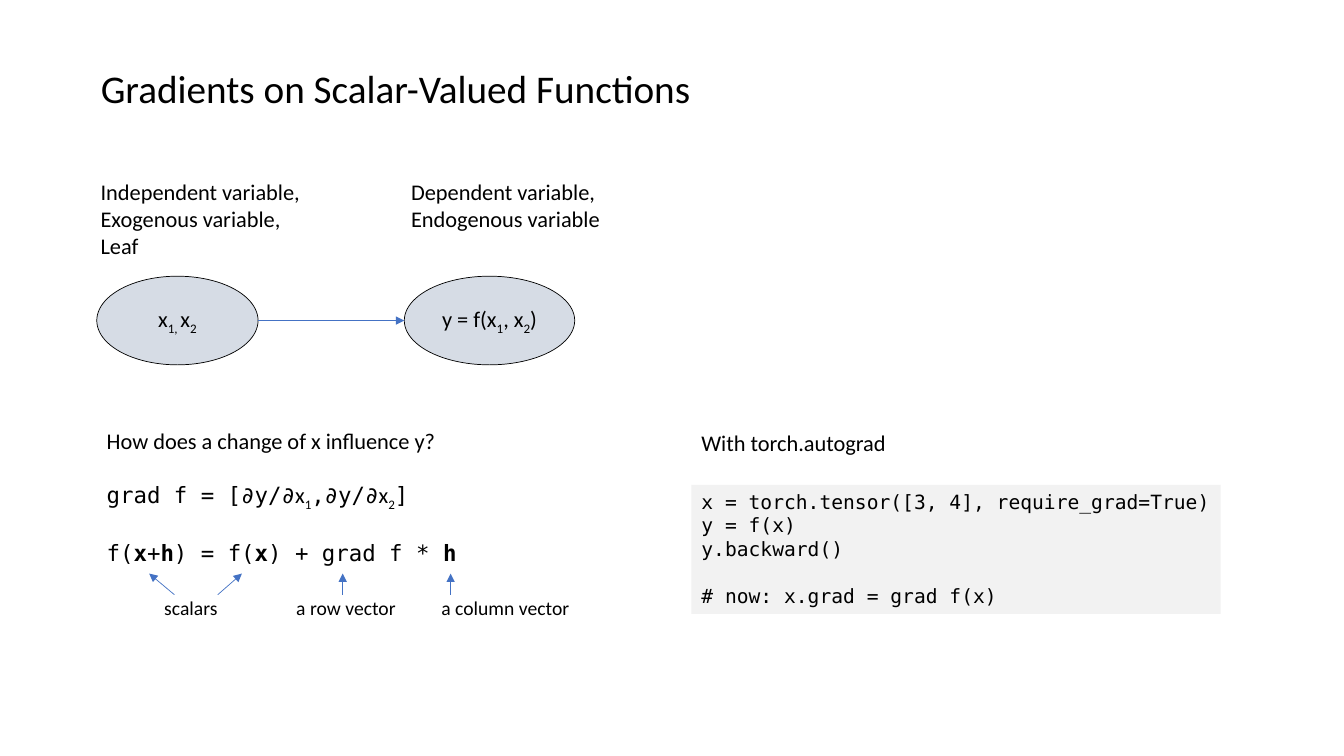
"""Build a slide on gradients of scalar-valued functions with torch.autograd."""
from pptx import Presentation
from pptx.dml.color import RGBColor
from pptx.enum.shapes import MSO_CONNECTOR, MSO_SHAPE
from pptx.enum.text import MSO_ANCHOR, PP_ALIGN
from pptx.oxml.ns import qn
from pptx.util import Inches, Pt
from lxml.etree import SubElement

HUES = {"ink": "000000", "node": "D6DCE5", "code": "F2F2F2", "arrow": "4472C4"}
SANS, MONO = "Calibri", "DejaVu Sans Mono"

deck = Presentation()
deck.slide_width, deck.slide_height = Inches(13.33), Inches(7.5)
col, row = deck.slide_width / 100, deck.slide_height / 100
slide = deck.slides.add_slide(deck.slide_layouts[5])
shapes = slide.shapes


def grid(left, top, width, height):
    """Turn columns and rows into slide lengths."""
    return int(left * col), int(top * row), int(width * col), int(height * row)


def write(shape, lines, size, align=PP_ALIGN.LEFT, anchor=MSO_ANCHOR.TOP):
    """Fill a shape with lines of (text, style) runs: m mono, b bold, s subscript."""
    frame = shape.text_frame
    frame.word_wrap = False
    frame.vertical_anchor = anchor
    for i, line in enumerate(lines):
        para = frame.add_paragraph() if i else frame.paragraphs[0]
        para.alignment = align
        for text, style in line:
            run = para.add_run()
            run.text = text
            font = run.font
            font.size = Pt(size)
            font.name = MONO if "m" in style else SANS
            font.bold = "b" in style
            font.color.rgb = RGBColor.from_string(HUES["ink"])
            if "s" in style:
                run._r.get_or_add_rPr().set("baseline", "-25000")
    return frame.paragraphs


title = shapes.title
title.left, title.top, title.width, title.height = grid(6.75, 7.87, 46.95, 7.6)
write(title, [[("Gradients on Scalar-Valued Functions", "")]], 28)

nodes = [
    (7.2, 12, [("x", ""), ("1, ", "s"), ("x", ""), ("2", "s")]),
    (30.08, 12.68, [("y = f(x", ""), ("1", "s"), (", x", ""), ("2", "s"), (")", "")]),
]
for left, width, runs in nodes:
    node = shapes.add_shape(MSO_SHAPE.OVAL, *grid(left, 36.53, width, 11.73))
    node.shadow.inherit = False
    node.fill.solid()
    node.fill.fore_color.rgb = RGBColor.from_string(HUES["node"])
    node.line.color.rgb = RGBColor.from_string(HUES["ink"])
    node.line.width = Pt(0.5)
    write(node, [runs], 16, PP_ALIGN.CENTER, MSO_ANCHOR.MIDDLE)

notes = [
    (6.75, 22.93, 16.5, 12.13, 16, ["Independent variable,", "Exogenous variable,", "Leaf"]),
    (29.85, 22.93, 15.75, 8.53, 16, ["Dependent variable,", "Endogenous variable"]),
    (51.45, 56.13, 15.38, 4.93, 16, ["With torch.autograd"]),
    (11.48, 78.13, 5.55, 4.53, 14, ["scalars"]),
    (21.3, 78.13, 9.3, 4.53, 14, ["a row vector"]),
    (32.1, 78.13, 11.48, 4.53, 14, ["a column vector"]),
]
for left, top, width, height, size, lines in notes:
    note = shapes.add_textbox(*grid(left, top, width, height))
    write(note, [[(line, "")] for line in lines], size)

maths = shapes.add_textbox(*grid(7.2, 55.87, 27.83, 19.33))
paras = write(maths, [
    [("How does a change of x influence y?", "")],
    [("grad f = [∂y/∂", "m"), ("x", ""), ("1", "s"), (",∂y/∂", "m"),
     ("x", ""), ("2", "s"), ("]", "m")],
    [("f(", "m"), ("x", "mb"), ("+", "m"), ("h", "mb"), (") = f(", "m"),
     ("x", "mb"), (") + grad f * ", "m"), ("h", "mb")],
], 16)
for para in paras[1:]:
    para.space_before = Pt(19.5)

code = shapes.add_shape(MSO_SHAPE.RECTANGLE, *grid(51.45, 64.13, 39.38, 17.07))
code.shadow.inherit = False
code.fill.solid()
code.fill.fore_color.rgb = RGBColor.from_string(HUES["code"])
code.line.fill.background()
paras = write(code, [[(line, "m")] for line in (
    "x = torch.tensor([3, 4], require_grad=True)",
    "y = f(x)",
    "y.backward()",
    "# now: x.grad = grad f(x)",
)], 14)
paras[-1].space_before = Pt(16.5)

low, high = 78.67, 75.87
arrows = [
    (19.2, 42.4, 30.08, 42.4),
    (12.98, low, 11.1, high),
    (16.2, low, 18, high),
    (25.5, low, 25.5, high),
    (33.53, low, 33.53, high),
]
for ends in arrows:
    arrow = shapes.add_connector(MSO_CONNECTOR.STRAIGHT, *grid(*ends))
    arrow.line.color.rgb = RGBColor.from_string(HUES["arrow"])
    arrow.line.width = Pt(0.5)
    SubElement(arrow.line._get_or_add_ln(), qn("a:tailEnd"), type="triangle")
    SubElement(arrow._element.spPr, qn("a:effectLst"))

deck.save("out.pptx")
